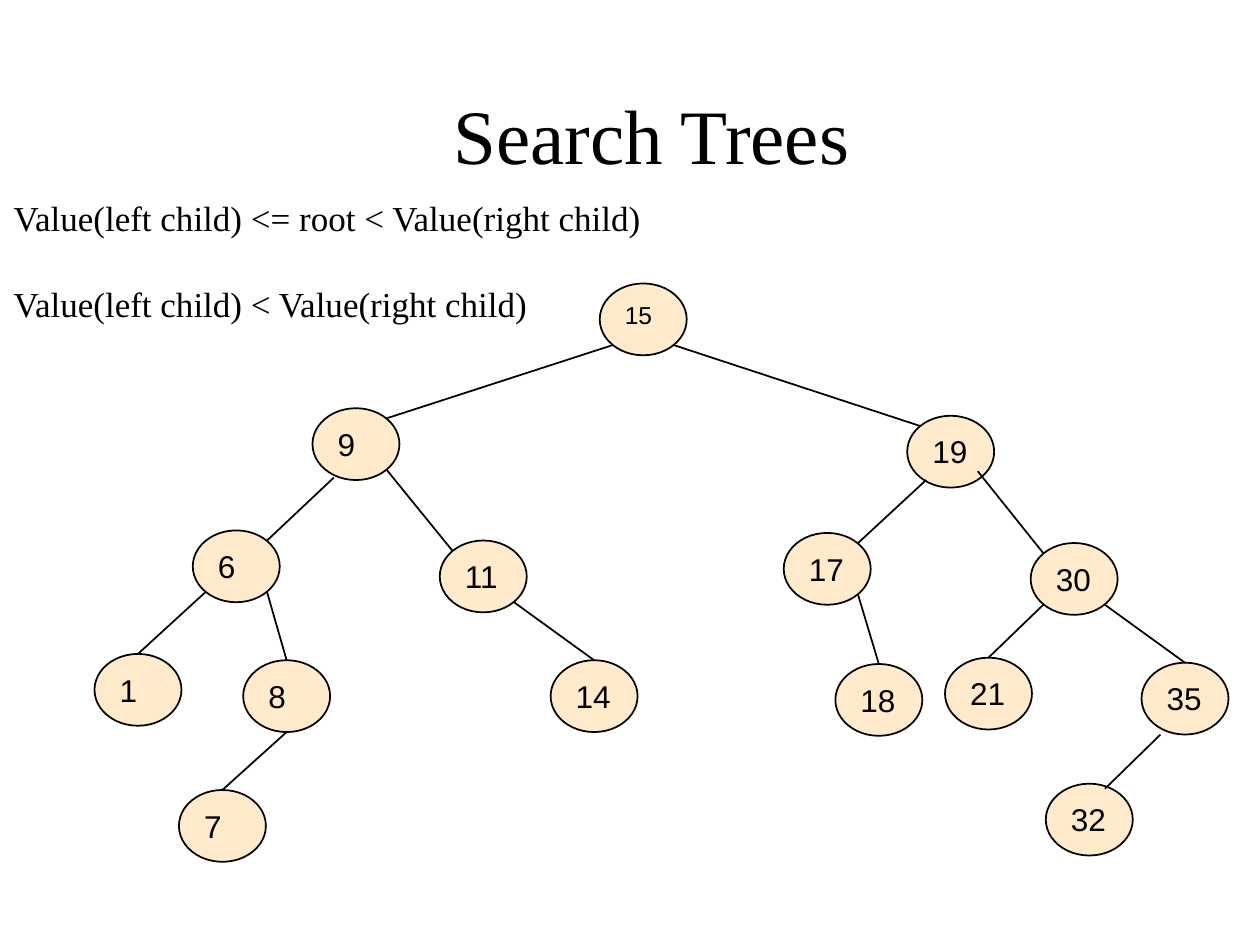
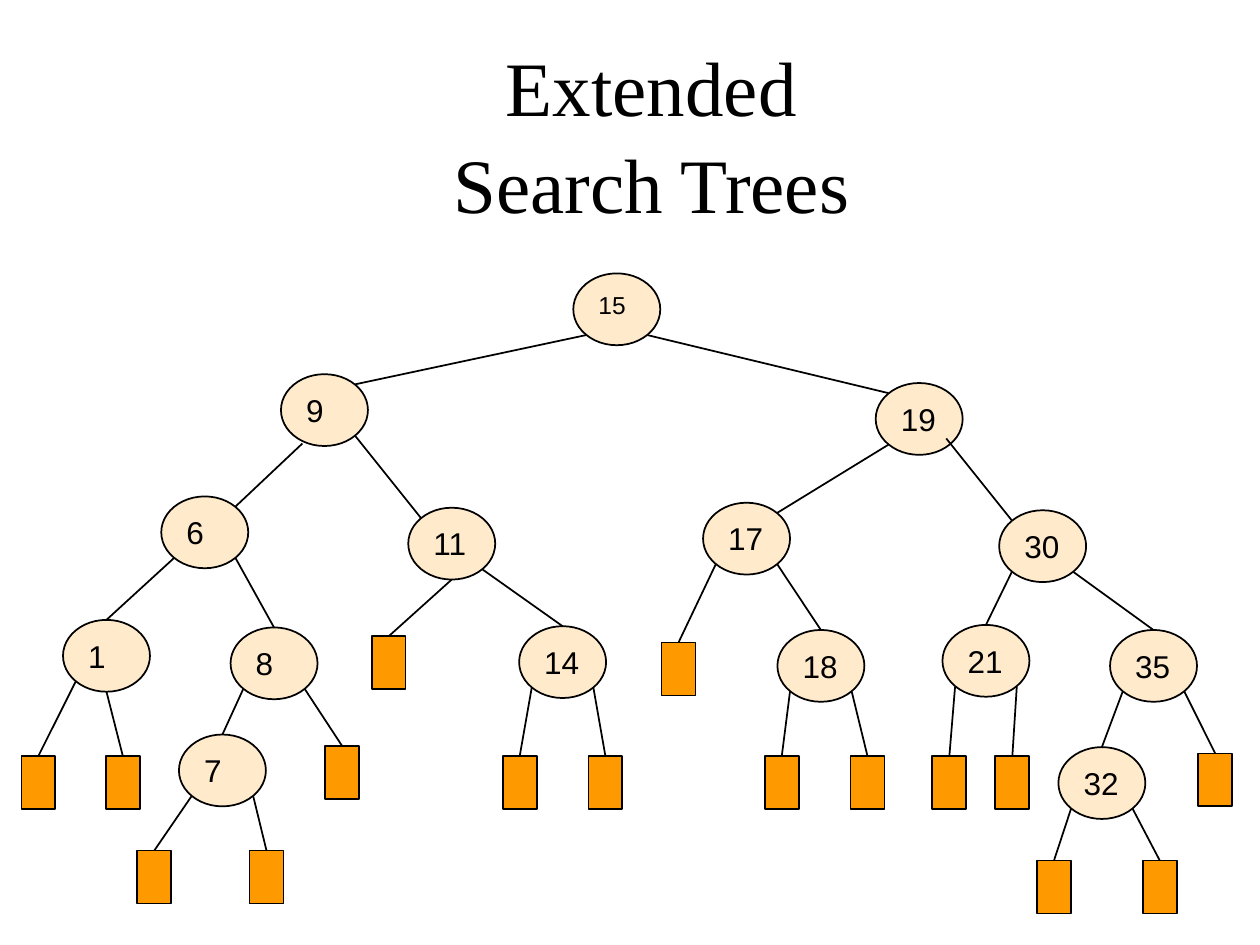
from lxml import etree
from pptx import Presentation
from pptx.dml.color import RGBColor
from pptx.enum.shapes import MSO_CONNECTOR, MSO_SHAPE
from pptx.enum.text import MSO_ANCHOR, PP_ALIGN
from pptx.oxml.ns import qn
from pptx.util import Inches, Pt

ELLIPSE, RECT = MSO_SHAPE.OVAL, MSO_SHAPE.RECTANGLE
STRAIGHT = MSO_CONNECTOR.STRAIGHT
TOP, MIDDLE = MSO_ANCHOR.TOP, MSO_ANCHOR.MIDDLE
LEFT, CENTER = PP_ALIGN.LEFT, PP_ALIGN.CENTER

BLACK, CREAM, ORANGE = "000000", "FFEBCC", "FF9900"
SERIF, SANS = "Times New Roman", "Arial"
NODE_W, NODE_H = 0.69, 0.57
LEAF_W, LEAF_H = 0.27, 0.42
ROOT = 15

SITES = {
    "top": (NODE_W / 2, 0),
    "top left": (0.1, 0.08),
    "top right": (0.59, 0.08),
    "bottom": (NODE_W / 2, NODE_H),
    "bottom left": (0.1, 0.49),
    "bottom right": (0.59, 0.49),
    "low left": (0.17, 0.55),
    "near left": (0.15, 0.51),
    "below left": (0.15, 0.57),
    "inner right": (0.56, 0.44),
    "upper right": (0.47, 0.04),
}

SHARED_EDGES = [
    (15, "bottom left", 9, "top right"),
    (15, "bottom right", 19, "top left"),
    (9, "low left", 6, "top right"),
    (9, "bottom right", 11, "top left"),
    (6, "bottom left", 1, "top"),
    (6, "bottom right", 8, "top"),
    (11, "bottom right", 14, "top"),
    (19, "inner right", 30, "top left"),
    (17, "bottom right", 18, "top"),
    (30, "bottom left", 21, "top"),
    (30, "bottom right", 35, "top"),
]

SEARCH_NODES = {
    15: (4.76, 2.25), 9: (2.48, 3.24), 19: (7.2, 3.3), 6: (1.53, 4.21),
    11: (3.49, 4.29), 17: (6.22, 4.23), 30: (8.18, 4.31), 1: (0.75, 5.19),
    8: (1.93, 5.24), 14: (4.37, 5.24), 18: (6.63, 5.27), 21: (7.5, 5.22),
    35: (9.06, 5.26), 7: (1.42, 6.27), 32: (8.3, 6.22),
}
SEARCH_EDGES = SHARED_EDGES + [
    (19, "near left", 17, "top right"),
    (8, "bottom", 7, "top"),
    (35, "below left", 32, "upper right"),
]

EXTENDED_NODES = {
    15: (4.55, 2.17), 9: (2.23, 2.97), 19: (6.95, 3.04), 6: (1.28, 3.94),
    11: (3.24, 4.03), 17: (5.58, 3.99), 30: (7.93, 4.05), 1: (0.5, 4.92),
    8: (1.83, 4.98), 14: (4.12, 4.97), 18: (6.17, 5), 21: (7.48, 4.96),
    35: (8.81, 5), 7: (1.42, 5.83), 32: (8.4, 5.93),
}
EXTENDED_EDGES = SHARED_EDGES + [
    (19, "bottom left", 17, "top right"),
    (8, "bottom left", 7, "top"),
    (35, "bottom left", 32, "top"),
]
LEAVES = [
    (1, "bottom left", 0.17, 6), (1, "bottom", 0.84, 6),
    (8, "bottom right", 2.58, 5.92), (11, "bottom", 2.95, 5.05),
    (7, "bottom left", 1.09, 6.75), (7, "bottom right", 1.98, 6.75),
    (14, "bottom left", 3.99, 6), (14, "bottom right", 4.67, 6),
    (17, "bottom left", 5.25, 5.1),
    (18, "bottom left", 6.07, 6), (18, "bottom right", 6.75, 6),
    (21, "bottom left", 7.4, 6), (21, "bottom right", 7.9, 6),
    (32, "bottom left", 8.23, 6.83), (32, "bottom right", 9.07, 6.83),
    (35, "bottom right", 9.51, 5.98),
]


def rgb(color):
    return RGBColor.from_string(color)


class Deck:
    def __init__(self):
        self.prs = Presentation()
        self.prs.slide_width, self.prs.slide_height = Inches(10), Inches(7.5)
        self.s = None

    def slide(self, title):
        self.s = self.prs.slides.add_slide(self.prs.slide_layouts[6])
        self.text(0.92, 0.42, 8.5, 1.25, [title], 44, CENTER, MIDDLE, True)

    def style(self, p, size, font, align):
        p.alignment = align
        for r in p.runs:
            r.font.size, r.font.name = Pt(size), font
            r.font.color.rgb = rgb(BLACK)

    def text(self, x, y, w, h, lines, size, align=LEFT, anchor=TOP, wrap=False):
        tf = self.s.shapes.add_textbox(*map(Inches, (x, y, w, h))).text_frame
        tf.word_wrap, tf.vertical_anchor = wrap, anchor
        for i, line in enumerate(lines):
            p = tf.add_paragraph() if i else tf.paragraphs[0]
            p.text = line
            p.line_spacing = 1.05
            p.space_before = Pt(24 if i else 0)
            self.style(p, size, SERIF, align)

    def shape(self, kind, x, y, w, h, fill):
        sp = self.s.shapes.add_shape(kind, *map(Inches, (x, y, w, h)))
        sp.shadow.inherit = False
        sp.fill.solid()
        sp.fill.fore_color.rgb = rgb(fill)
        sp.line.color.rgb = rgb(BLACK)
        sp.line.width = Pt(1)
        return sp

    def node(self, value, x, y):
        tf = self.shape(ELLIPSE, x, y, NODE_W, NODE_H, CREAM).text_frame
        tf.word_wrap, tf.vertical_anchor = True, TOP
        tf.text = str(value)
        self.style(tf.paragraphs[0], 14 if value == ROOT else 18, SANS, LEFT)

    def line(self, start, end):
        c = self.s.shapes.add_connector(STRAIGHT, *map(Inches, start + end))
        c.line.color.rgb = rgb(BLACK)
        c.line.width = Pt(1)
        etree.SubElement(c._element.spPr, qn("a:effectLst"))

    def tree(self, nodes, edges, leaves=()):
        def site(value, name):
            (x, y), (dx, dy) = nodes[value], SITES[name]
            return x + dx, y + dy

        for value, (x, y) in nodes.items():
            self.node(value, x, y)
        for parent, start, child, end in edges:
            self.line(site(parent, start), site(child, end))
        for parent, start, x, y in leaves:
            self.shape(RECT, x, y, LEAF_W, LEAF_H, ORANGE)
            self.line(site(parent, start), (x + LEAF_W / 2, y))


def main():
    deck = Deck()
    deck.slide("Search Trees")
    deck.tree(SEARCH_NODES, SEARCH_EDGES)
    deck.text(0.01, 1.49, 5.21, 1.11, [
        "Value(left child) <= root < Value(right child)",
        "Value(left child) < Value(right child)",
    ], 20)

    deck.slide("Extended\vSearch Trees")
    deck.tree(EXTENDED_NODES, EXTENDED_EDGES, LEAVES)
    deck.prs.save("out.pptx")


if __name__ == "__main__":
    main()
